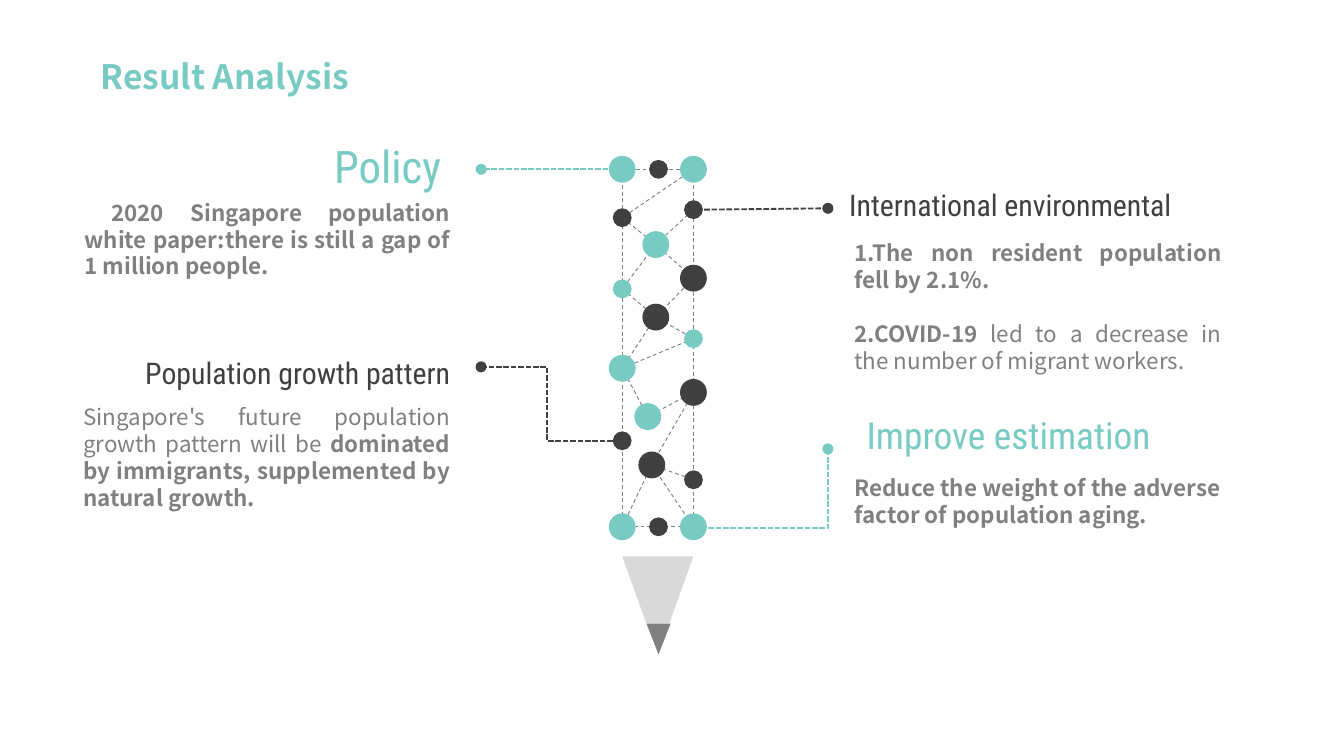
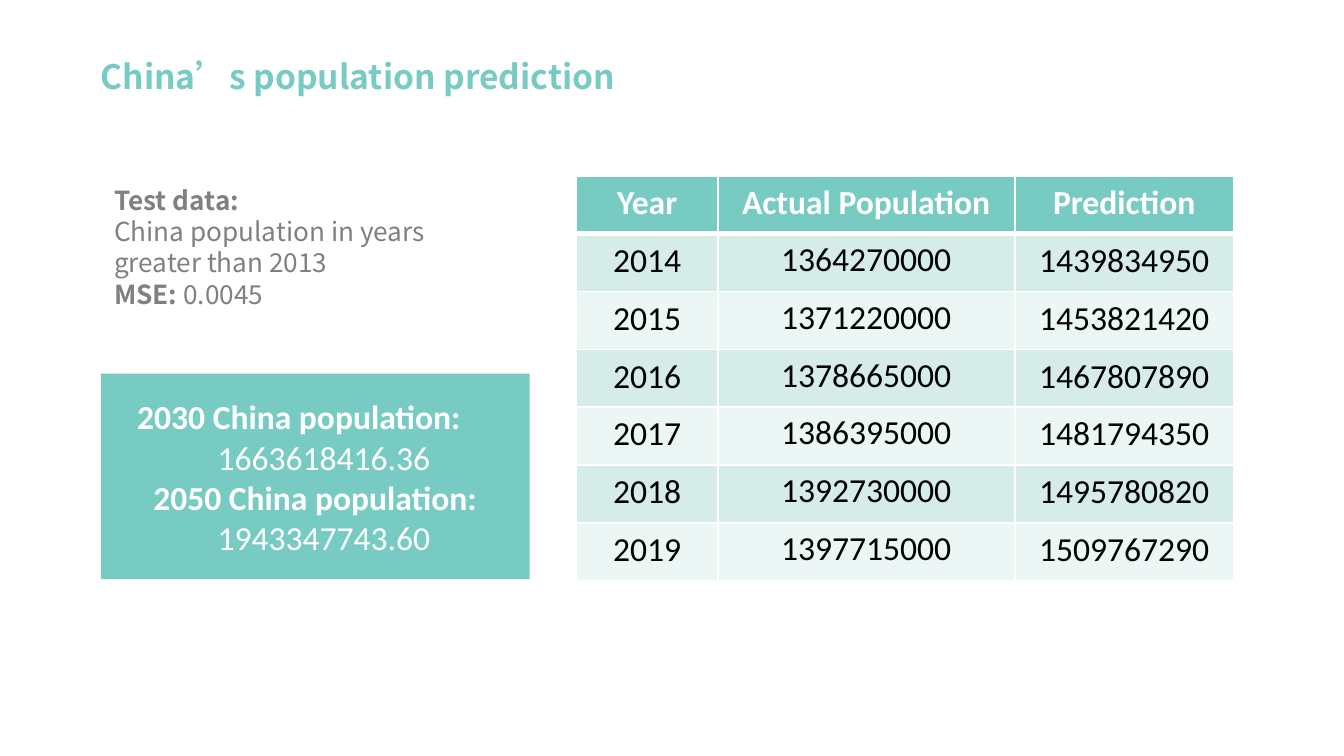
from dataclasses import dataclass

from lxml import etree
from pptx import Presentation
from pptx.dml.color import RGBColor
from pptx.enum.dml import MSO_LINE
from pptx.enum.shapes import MSO_CONNECTOR, MSO_SHAPE
from pptx.enum.text import MSO_ANCHOR, PP_ALIGN
from pptx.oxml.ns import qn
from pptx.util import Pt

SCALE = 9144  # EMU per px, 100 px to the inch
LEFT, CENTER, RIGHT, JUSTIFY = PP_ALIGN.LEFT, PP_ALIGN.CENTER, PP_ALIGN.RIGHT, PP_ALIGN.JUSTIFY
MIDDLE = MSO_ANCHOR.MIDDLE
DASH, FINE_DASH = MSO_LINE.DASH, MSO_LINE.SQUARE_DOT
STRAIGHT, ELBOW = MSO_CONNECTOR.STRAIGHT, MSO_CONNECTOR.ELBOW
OVAL, RECT = MSO_SHAPE.OVAL, MSO_SHAPE.RECTANGLE


@dataclass(frozen=True)
class Theme:
    teal: str = "77CBC3"
    dark: str = "404040"
    gray: str = "808080"
    silver: str = "D9D9D9"
    white: str = "FFFFFF"
    black: str = "000000"
    bands: tuple = ("D6ECE9", "ECF6F5")
    body_font: str = "Noto Sans CJK SC"
    head_font: str = "Roboto Condensed"
    data_font: str = "Calibri"
    title: int = 18
    note: int = 14
    body: int = 12
    data: int = 18


T = Theme()


@dataclass
class Para:
    """Runs are (text, bold) pairs; indents are in px, before is in points."""
    runs: list
    left: int = 0
    right: int = 0
    first: int = 0
    before: float = 0


def px(*lengths):
    return [n * SCALE for n in lengths]


def rgb(color):
    return RGBColor.from_string(color)


def format_run(r, font, size, color, bold=False):
    r.font.name, r.font.size, r.font.bold = font, Pt(size), bold
    r.font.color.rgb = rgb(color)


def add_text(slide, box, paras, font, size, color, align=LEFT):
    tf = slide.shapes.add_textbox(*px(*box)).text_frame
    tf.word_wrap = True
    for i, para in enumerate(paras):
        p = tf.add_paragraph() if i else tf.paragraphs[0]
        p.alignment = align
        p.space_before = Pt(para.before)
        if font == T.body_font:
            p.line_spacing = Pt(size * 1.2)
        pPr = p._p.get_or_add_pPr()
        for name, value in (("marL", para.left), ("marR", para.right), ("indent", para.first)):
            pPr.set(name, str(value * SCALE))
        for text, bold in para.runs:
            r = p.add_run()
            r.text = text
            format_run(r, font, size, color, bold)


def add_title(slide, text):
    add_text(slide, (65, 37, 517, 40), [Para([(text, True)])], T.body_font, T.title, T.teal)


def set_line(sp, color, width, dash):
    sp.line.color.rgb = rgb(color)
    sp.line.width = Pt(width)
    sp.line.dash_style = dash


def add_filled(slide, kind, box, color):
    sp = slide.shapes.add_shape(kind, *px(*box))
    sp.shadow.inherit = False
    sp.fill.solid()
    sp.fill.fore_color.rgb = rgb(color)
    sp.line.fill.background()


def add_outline(slide, origin, points, close=False):
    """Freeform whose points are px relative to origin."""
    builder = slide.shapes.build_freeform(*points[0], scale=SCALE)
    builder.add_line_segments(points[1:], close=close)
    sp = builder.convert_to_shape(*px(*origin))
    sp.shadow.inherit = False
    return sp


def add_leader(slide, color, points, kind=STRAIGHT):
    """Dashed line through the points that ends in a dot."""
    if len(points) == 2:
        sp = slide.shapes.add_connector(kind, *px(*points[0], *points[1]))
        etree.SubElement(sp._element.spPr, qn("a:effectLst"))
    else:
        sp = add_outline(slide, (0, 0), points)
        sp.fill.background()
    set_line(sp, color, 1, FINE_DASH)
    ln = sp._element.spPr.find(qn("a:ln"))
    etree.SubElement(ln, qn("a:tailEnd")).set("type", "oval")


def add_pencil(slide, x, y):
    """Pencil made of a node mesh, with the top left node at x, y."""
    width, height = 53, 266
    big_nodes = {
        T.teal: [(0, 0), (width, 0), (25, 56), (0, 148), (19, 184), (0, height), (width, height)],
        T.dark: [(width, 81), (25, 110), (width, 166), (22, 220)],
    }
    small_nodes = {
        T.teal: [(0, 89), (width, 126)],
        T.dark: [(27, 0), (width, 30), (0, 36), (0, 202), (width, 231), (27, height)],
    }
    mesh = [
        [(width, 0), (0, 36), (25, 56), (width, 81), (25, 110), (0, 148), (19, 184),
         (width, 166), (22, 220), (width, height)],
        [(0, height), (22, 220), (width, 231)],
        [(0, 148), (width, 126), (25, 110), (0, 89), (25, 56), (width, 30)],
    ]
    tip = [
        (T.silver, [(0, 288), (18, 338), (35, 338), (width, 288)]),
        (T.gray, [(18, 338), (27, 361), (36, 338)]),
    ]
    frame = slide.shapes.add_shape(RECT, *px(x, y, width, height))
    frame.shadow.inherit = False
    for sp in [frame] + [add_outline(slide, (x, y), points) for points in mesh]:
        sp.fill.background()
        set_line(sp, T.gray, 0.5, DASH)
    for size, nodes in ((20, big_nodes), (14, small_nodes)):
        for color, centers in nodes.items():
            for cx, cy in centers:
                add_filled(slide, OVAL, (x + cx - size // 2, y + cy - size // 2, size, size), color)
    for color, points in tip:
        sp = add_outline(slide, (x, y), points, close=True)
        sp.fill.solid()
        sp.fill.fore_color.rgb = rgb(color)
        sp.line.fill.background()


def add_callout(slide, heading_box, heading, size, color, body_box, body, align=LEFT):
    add_text(slide, heading_box, [heading], T.head_font, size, color, align)
    add_text(slide, body_box, body, T.body_font, T.body, T.gray, JUSTIFY)


def build_analysis(slide):
    add_title(slide, "Result Analysis")
    add_leader(slide, T.teal, [(458, 126), (358, 126)])
    add_leader(slide, T.dark, [(524, 156), (616, 155)])
    add_leader(slide, T.dark, [(456, 328), (358, 273)], ELBOW)
    add_leader(slide, T.teal, [(516, 393), (616, 393), (616, 334)])
    add_pencil(slide, 463, 126)
    add_callout(
        slide, (70, 98, 276, 50), Para([("Policy", False)], right=8), 24, T.teal,
        (53, 143, 292, 71),
        [Para([("2020 Singapore population white paper:there is still a gap of "
                "1 million people.", True)], first=20)], RIGHT)
    add_callout(
        slide, (37, 259, 308, 37), Para([("Population growth pattern", False)]), 16, T.dark,
        (52, 295, 293, 91),
        [Para([("Singapore's future population growth pattern will be ", False),
               ("dominated by immigrants, supplemented by natural growth.", True)])], RIGHT)
    add_callout(
        slide, (622, 134, 308, 37), Para([("International environmental", False)]), 16, T.dark,
        (626, 173, 293, 111),
        [Para([("1.The non resident population fell by 2.1%.", True)]),
         Para([("2.COVID-19", True),
               (" led to a decrease in the number of migrant workers.", False)],
              before=T.body * 1.2)])
    add_callout(
        slide, (635, 302, 276, 44), Para([("Improve estimation", False)]), 20, T.teal,
        (626, 348, 292, 71),
        [Para([("Reduce the weight of the adverse factor of population aging.", True)])])


def set_borders(cell, top, bottom):
    tcPr = cell._tc.get_or_add_tcPr()
    for side, width in (("lnL", 1), ("lnR", 1), ("lnT", top), ("lnB", bottom)):
        ln = etree.SubElement(tcPr, qn("a:" + side), w=str(Pt(width)))
        fill = etree.SubElement(ln, qn("a:solidFill"))
        etree.SubElement(fill, qn("a:srgbClr"), val=T.white)


def add_population_table(slide, x, y, widths, row_height, rows):
    shape = slide.shapes.add_table(
        len(rows), len(widths), *px(x, y, sum(widths), row_height * len(rows)))
    table = shape.table
    for col, width in zip(table.columns, widths):
        col.width = width * SCALE
    for i, row in enumerate(rows):
        table.rows[i].height = row_height * SCALE
        header = i == 0
        for j, value in enumerate(row):
            cell = table.cell(i, j)
            set_borders(cell, 3 if i == 1 else 1, 3 if header else 1)
            cell.fill.solid()
            cell.fill.fore_color.rgb = rgb(T.teal if header else T.bands[(i - 1) % 2])
            if j == 1 and not header:
                cell.vertical_anchor = MIDDLE
                cell.margin_left = cell.margin_top = cell.margin_right = SCALE
                cell.margin_bottom = 5 * SCALE
            p = cell.text_frame.paragraphs[0]
            p.text = str(value)
            p.alignment = CENTER
            format_run(p.runs[0], T.data_font, T.data, T.white if header else T.black, header)


def add_forecast_panel(slide, x, y, w, h):
    add_filled(slide, RECT, (x, y, w, h), T.teal)
    add_text(slide, (x, y + 12, w, h - 22), [
        Para([("2030 China population:", True)], right=24),
        Para([("1663618416.36", False)], left=13),
        Para([("2050 China population:", True)]),
        Para([("1943347743.60", False)], left=13),
    ], T.data_font, T.data, T.white, CENTER)


def build_prediction(slide):
    add_title(slide, "China’s population prediction")
    add_population_table(slide, 429, 131, (105, 221, 163), 43, [
        ("Year", "Actual Population", "Prediction"),
        (2014, 1364270000, 1439834950),
        (2015, 1371220000, 1453821420),
        (2016, 1378665000, 1467807890),
        (2017, 1386395000, 1481794350),
        (2018, 1392730000, 1495780820),
        (2019, 1397715000, 1509767290),
    ])
    add_text(slide, (75, 132, 309, 104), [
        Para([("Test data:", True)]),
        Para([("China population in years greater than 2013", False)]),
        Para([("MSE: ", True), ("0.0045", False)]),
    ], T.body_font, T.note, T.gray)
    add_forecast_panel(slide, 75, 278, 319, 153)


def main():
    prs = Presentation()
    prs.slide_width = 1000 * SCALE
    prs.slide_height = prs.slide_width * 9 // 16
    blank = prs.slide_layouts[6]
    for build in (build_analysis, build_prediction):
        build(prs.slides.add_slide(blank))
    prs.save("out.pptx")


if __name__ == "__main__":
    main()
